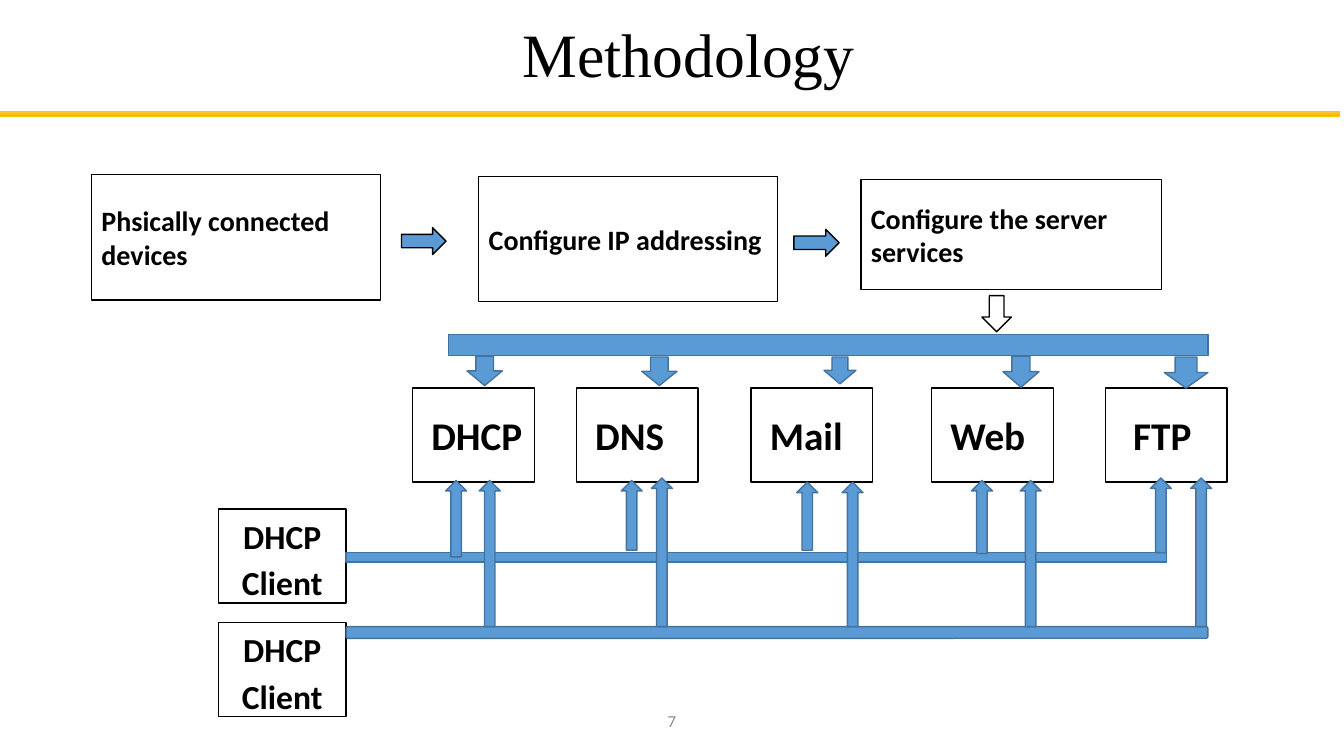
from copy import deepcopy
from dataclasses import dataclass
from typing import Any, NamedTuple

from pptx import Presentation
from pptx.dml.color import RGBColor
from pptx.enum.shapes import MSO_SHAPE
from pptx.enum.text import MSO_ANCHOR, MSO_AUTO_SIZE, PP_ALIGN
from pptx.util import Emu, Pt

COLORS = {
    "ink": "000000",
    "paper": "FFFFFF",
    "blue": "5B9BD5",
    "blue_edge": "43739E",
    "gold_light": "FFC64B",
    "gold": "FFC000",
    "gold_dark": "E3AB00",
    "page_gray": "8C8C8C",
}
COLUMNS, ROWS = 160, 90
SLIDE_WIDTH, SLIDE_HEIGHT = Emu(12192000), Emu(6858000)


class Area(NamedTuple):
    column: float
    row: float
    columns: float
    rows: float


class Link(NamedTuple):
    center: float
    top: float
    bottom: float


@dataclass(frozen=True)
class Box:
    label: str
    area: Area
    size: float
    paragraph: dict[str, Any]
    indent: float = 1.2


@dataclass(frozen=True)
class Service:
    name: str
    column: float
    indent: float
    feed: Area
    first_client: Link
    second_client: Link


def color(name: str) -> RGBColor:
    return RGBColor.from_string(COLORS[name])


def across(columns: float) -> Emu:
    return Emu(round(columns * SLIDE_WIDTH / COLUMNS))


def down(rows: float) -> Emu:
    return Emu(round(rows * SLIDE_HEIGHT / ROWS))


def place(area: Area) -> tuple[Emu, Emu, Emu, Emu]:
    return across(area.column), down(area.row), across(area.columns), down(area.rows)


def apply(target: Any, values: dict[str, Any]) -> None:
    for attribute, value in values.items():
        setattr(target, attribute, value)


def write(frame: Any, text: str, font: dict[str, Any], ink: str,
          paragraph: dict[str, Any], indent: float = 1.2) -> None:
    apply(frame, {"text": text, "word_wrap": True, "auto_size": MSO_AUTO_SIZE.NONE,
                  "vertical_anchor": MSO_ANCHOR.MIDDLE, "margin_left": across(indent)})
    apply(frame.paragraphs[0], paragraph)
    run_font = frame.paragraphs[0].runs[0].font
    apply(run_font, font)
    run_font.color.rgb = color(ink)


def draw(kind: MSO_SHAPE, area: Area, fill: str = "blue",
         edge: str = "blue_edge", weight: float = 1) -> Any:
    shape = slide.shapes.add_shape(kind, *place(area))
    shape.shadow.inherit = False
    shape.fill.solid()
    shape.fill.fore_color.rgb = color(fill)
    shape.line.color.rgb = color(edge)
    shape.line.width = Pt(weight)
    return shape


def draw_box(box: Box) -> None:
    shape = draw(MSO_SHAPE.RECTANGLE, box.area, "paper", "ink")
    font = {"name": "Calibri", "size": Pt(box.size), "bold": True}
    write(shape.text_frame, box.label, font, "ink", box.paragraph, box.indent)


def draw_link(link: Link) -> None:
    draw(MSO_SHAPE.UP_ARROW,
         Area(link.center - LINK_WIDTH / 2, link.top, LINK_WIDTH, link.bottom - link.top))


def draw_title_rule(area: Area) -> None:
    rule = draw(MSO_SHAPE.RECTANGLE, area, "gold", "gold", 0.5)
    rule.fill.gradient()
    rule.fill.gradient_angle = 270
    stop_list = rule._element.spPr.find(".//{*}gsLst")
    stop_list.append(deepcopy(stop_list[0]))
    shades = ((0, "gold_light"), (0.5, "gold"), (1, "gold_dark"))
    for stop, (position, shade) in zip(rule.fill.gradient_stops, shades):
        stop.position = position
        stop.color.rgb = color(shade)


LEFT = {"alignment": PP_ALIGN.LEFT}
CENTER = {"alignment": PP_ALIGN.CENTER}
CLIENT_TEXT = CENTER | {"line_spacing": 1.15, "space_after": Pt(10)}
LINK_WIDTH = 2.5
SERVICE_ROW, SERVICE_COLUMNS, SERVICE_ROWS = 46.2, 14.5, 11.2
SECOND_BUS_ROW = 74.6

STEPS = (
    Box("Phsically connected devices", Area(10.9, 20.8, 34.4, 14.9), 20, LEFT),
    Box("Configure IP addressing", Area(57, 21, 35.6, 14.9), 20, LEFT),
    Box("Configure the server services", Area(102.5, 21.4, 35.8, 13.1), 20, LEFT),
)
STEP_ARROWS = (Area(47.8, 27.1, 5.3, 3.2), Area(94.5, 27.3, 5.4, 3.2))
CLIENTS = tuple(Box("DHCP Client", Area(26, row, 15.2, 11.2), 24, CLIENT_TEXT)
                for row in (60.6, 74.1))
SERVICES = (
    Service("DHCP", 49.1, 2.25, Area(55.6, 42.4, 4.2, 3.5),
            Link(54.3, 57.2, 66.3), Link(58.3, 57.2, SECOND_BUS_ROW)),
    Service("DNS", 68.6, 2.25, Area(76.4, 42.5, 4.2, 3.4),
            Link(75.2, 57.2, 65.5), Link(78.8, 56.9, SECOND_BUS_ROW)),
    Service("Mail", 89.4, 2.25, Area(98.1, 42.5, 3.8, 3.2),
            Link(96.1, 57.4, 65.5), Link(101.5, 57.4, SECOND_BUS_ROW)),
    Service("Web", 110.9, 2.25, Area(119.4, 42.4, 4.3, 3.7),
            Link(116.9, 57.2, 65.9), Link(122.7, 57.2, SECOND_BUS_ROW)),
    Service("FTP", 131.6, 3.3, Area(138.6, 42.5, 5.2, 3.7),
            Link(138.2, 56.9, 65.8), Link(143, 56.9, SECOND_BUS_ROW)),
)

presentation = Presentation()
apply(presentation, {"slide_width": SLIDE_WIDTH, "slide_height": SLIDE_HEIGHT})
slide = presentation.slides.add_slide(presentation.slide_layouts[5])

heading = slide.shapes.title
apply(heading, dict(zip(("left", "top", "width", "height"),
                        place(Area(25.6, 1.6, 112.8, 10.4)))))
write(heading.text_frame, "Methodology", {"name": "Times New Roman", "size": Pt(44)},
      "ink", CENTER | {"line_spacing": 0.9})
page_number = slide.shapes.add_textbox(*place(Area(53, 83.4, 54, 4.8)))
write(page_number.text_frame, "7", {"name": "Calibri", "size": Pt(12)}, "page_gray", CENTER)
draw_title_rule(Area(-0.6, 13.3, COLUMNS, 0.6))

for box in STEPS + CLIENTS:
    draw_box(box)
for arrow in STEP_ARROWS:
    draw(MSO_SHAPE.RIGHT_ARROW, arrow, edge="ink")
draw(MSO_SHAPE.DOWN_ARROW, Area(116.9, 35.2, 3.5, 4.3), "paper", "ink")

draw(MSO_SHAPE.RECTANGLE, Area(53.4, 39.8, 90.4, 2.5))
draw(MSO_SHAPE.RECTANGLE, Area(41.2, 65.8, 97.7, 1.1))
draw(MSO_SHAPE.ROUNDED_RECTANGLE, Area(41.2, SECOND_BUS_ROW, 102.6, 1.4))
for service in SERVICES:
    draw_box(Box(service.name,
                 Area(service.column, SERVICE_ROW, SERVICE_COLUMNS, SERVICE_ROWS),
                 28, LEFT, service.indent))
    draw(MSO_SHAPE.DOWN_ARROW, service.feed)
    draw_link(service.first_client)
    draw_link(service.second_client)

presentation.save("out.pptx")
